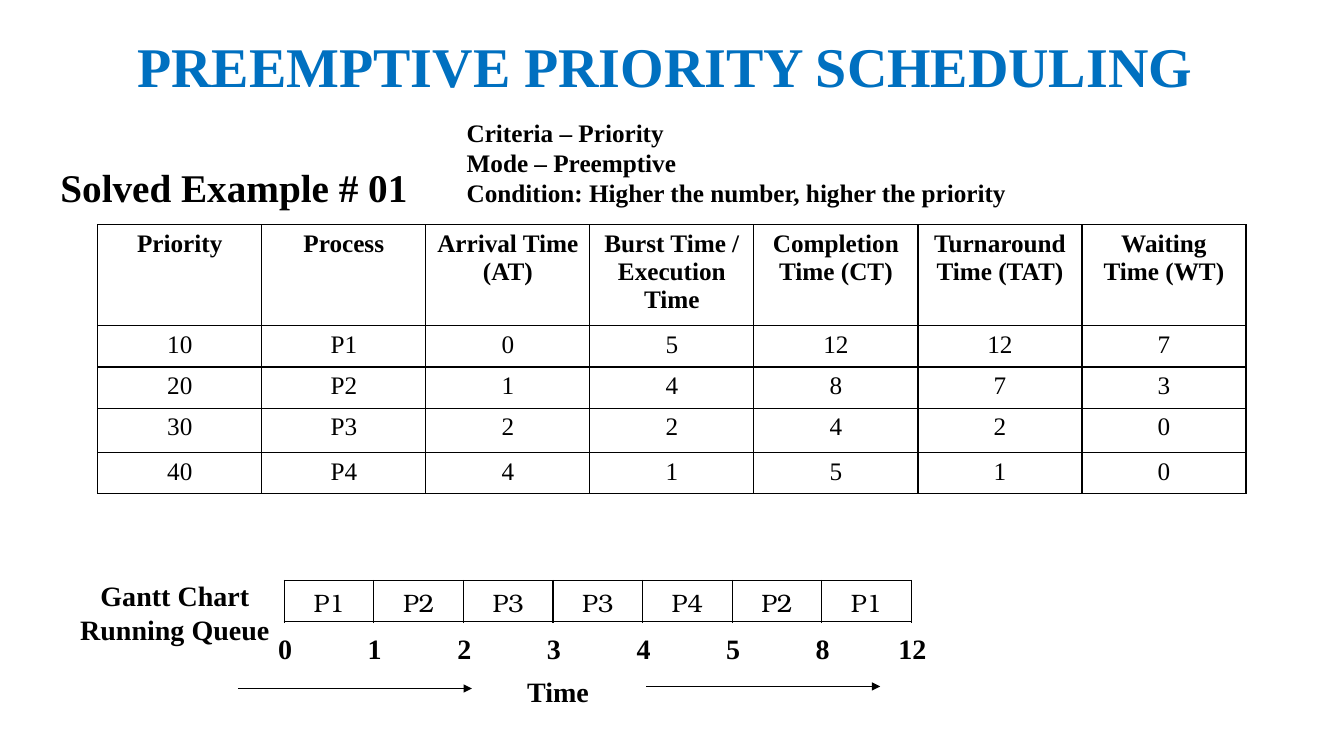
import pptx
import pptx.util
import pptx.dml.color
import pptx.enum.text
import pptx.enum.shapes
import pptx.oxml
import pptx.oxml.ns

Inches = pptx.util.Inches
Pt = pptx.util.Pt
ALIGN = pptx.enum.text.PP_ALIGN
ANCHOR = pptx.enum.text.MSO_ANCHOR
NS = pptx.oxml.ns.nsdecls("a")
COLORS = {"title": "0070C0", "ink": "000000"}
FONT = "Times New Roman"
GANTT_FONT = "TeX Gyre Bonum"

HEADS = ["Priority", "Process", "Arrival Time (AT)", "Burst Time / Execution Time",
         "Completion Time (CT)", "Turnaround Time (TAT)", "Waiting Time (WT)"]
ROWS = [
    [10, "P1", 0, 5, 12, 12, 7],
    [20, "P2", 1, 4, 8, 7, 3],
    [30, "P3", 2, 2, 4, 2, 0],
    [40, "P4", 4, 1, 5, 1, 0],
]
QUEUE = ["P1", "P2", "P3", "P3", "P4", "P2", "P1"]
TIMES = [0, 1, 2, 3, 4, 5, 8, 12]


def rgb(name):
    return pptx.dml.color.RGBColor.from_string(COLORS[name])


def write(frame, text, size=18, bold=True, color="ink", font=FONT,
          align=ALIGN.CENTER, space=None):
    """Fill a text frame, one paragraph for each line of text."""
    frame.word_wrap = True
    for i, line in enumerate(text.split("\n")):
        para = frame.add_paragraph() if i else frame.paragraphs[0]
        para.alignment = align
        if space:
            para.line_spacing = space
        run = para.add_run()
        run.text = line
        run.font.name = font
        run.font.size = Pt(size)
        run.font.bold = bold
        run.font.color.rgb = rgb(color)


def label(slide, text, x, y, w, h, **style):
    box = slide.shapes.add_textbox(Inches(x), Inches(y), Inches(w), Inches(h))
    write(box.text_frame, text, **style)
    return box


def edge(cell):
    """Draw a thin line on all four sides of a cell."""
    props = cell._tc.get_or_add_tcPr()
    for i, side in enumerate("LRTB"):
        props.insert(i, pptx.oxml.parse_xml(
            f'<a:ln{side} {NS} w="12700"><a:solidFill>'
            f'<a:srgbClr val="{COLORS["ink"]}"/></a:solidFill></a:ln{side}>'))


def grid(slide, rows, x, y, w, highs, head=False, font=FONT):
    shape = slide.shapes.add_table(len(rows), len(rows[0]), Inches(x), Inches(y),
                                   Inches(w), Inches(sum(highs)))
    table = shape.table
    table.first_row = head
    table.horz_banding = False
    for r, row in enumerate(rows):
        table.rows[r].height = Inches(highs[r])
        for c, value in enumerate(row):
            cell = table.cell(r, c)
            cell.fill.background()
            edge(cell)
            write(cell.text_frame, str(value), bold=head and r == 0, font=font)


def arrow(slide, x, y, w):
    line = slide.shapes.add_connector(pptx.enum.shapes.MSO_CONNECTOR.STRAIGHT,
                                      Inches(x), Inches(y), Inches(x + w), Inches(y))
    line.line.color.rgb = rgb("ink")
    line.line.width = Pt(1)
    line.line._get_or_add_ln().append(
        pptx.oxml.parse_xml(f'<a:tailEnd {NS} type="triangle"/>'))
    line._element.spPr.append(pptx.oxml.parse_xml(f"<a:effectLst {NS}/>"))


def header(slide, x, y, w, h):
    title = slide.shapes.title
    title.left, title.top = Inches(x), Inches(y)
    title.width, title.height = Inches(w), Inches(h)
    title.text_frame.vertical_anchor = ANCHOR.MIDDLE
    write(title.text_frame, "PREEMPTIVE PRIORITY SCHEDULING", size=40,
          color="title", space=0.9)


def example(slide, x, y, w):
    # Rules of the example
    label(slide, "Criteria – Priority\nMode – Preemptive\n"
          "Condition: Higher the number, higher the priority",
          x + 4.04, y, 6.58, 1.01, align=ALIGN.LEFT)
    # Process table
    grid(slide, [HEADS] + ROWS, x + 0.48, y + 1.12, w,
         [1, 0.41, 0.41, 0.44, 0.41], head=True)
    label(slide, "Solved Example # 01", x, y + 0.46, 3.66, 0.57, size=28)


def gantt(slide, x, y, w):
    step = w / len(QUEUE)
    label(slide, "Gantt Chart\nRunning Queue", x - 2.32, y - 0.07, 2.47, 0.77, size=20)
    # Times, each centred under a border of the queue
    scale = label(slide, "".join(f"\t{t}" for t in TIMES), x - 0.5, y + 0.46,
                  7.47, 0.44, size=20, align=ALIGN.LEFT)
    stops = "".join(f'<a:tab pos="{Inches(0.41 + i * step)}" algn="ctr"/>'
                    for i in range(len(TIMES)))
    para = scale.text_frame.paragraphs[0]
    para._p.get_or_add_pPr().append(
        pptx.oxml.parse_xml(f"<a:tabLst {NS}>{stops}</a:tabLst>"))
    # Time axis
    label(slide, "Time", x + 1.48, y + 0.88, 2.47, 0.44, size=20)
    arrow(slide, x - 0.46, y + 1.07, 2.32)
    arrow(slide, x + 3.59, y + 1.05, 2.32)
    # Running queue
    grid(slide, [QUEUE], x, y, w, [0.41], font=GANTT_FONT)


def main():
    deck = pptx.Presentation()
    deck.slide_width, deck.slide_height = Inches(13.33), Inches(7.5)
    slide = deck.slides.add_slide(deck.slide_layouts[5])
    header(slide, 0.6, 0.23, 11.99, 0.92)
    example(slide, 0.49, 1.11, 11.39)
    gantt(slide, 2.82, 5.76, 6.22)
    deck.save("out.pptx")


if __name__ == "__main__":
    main()
